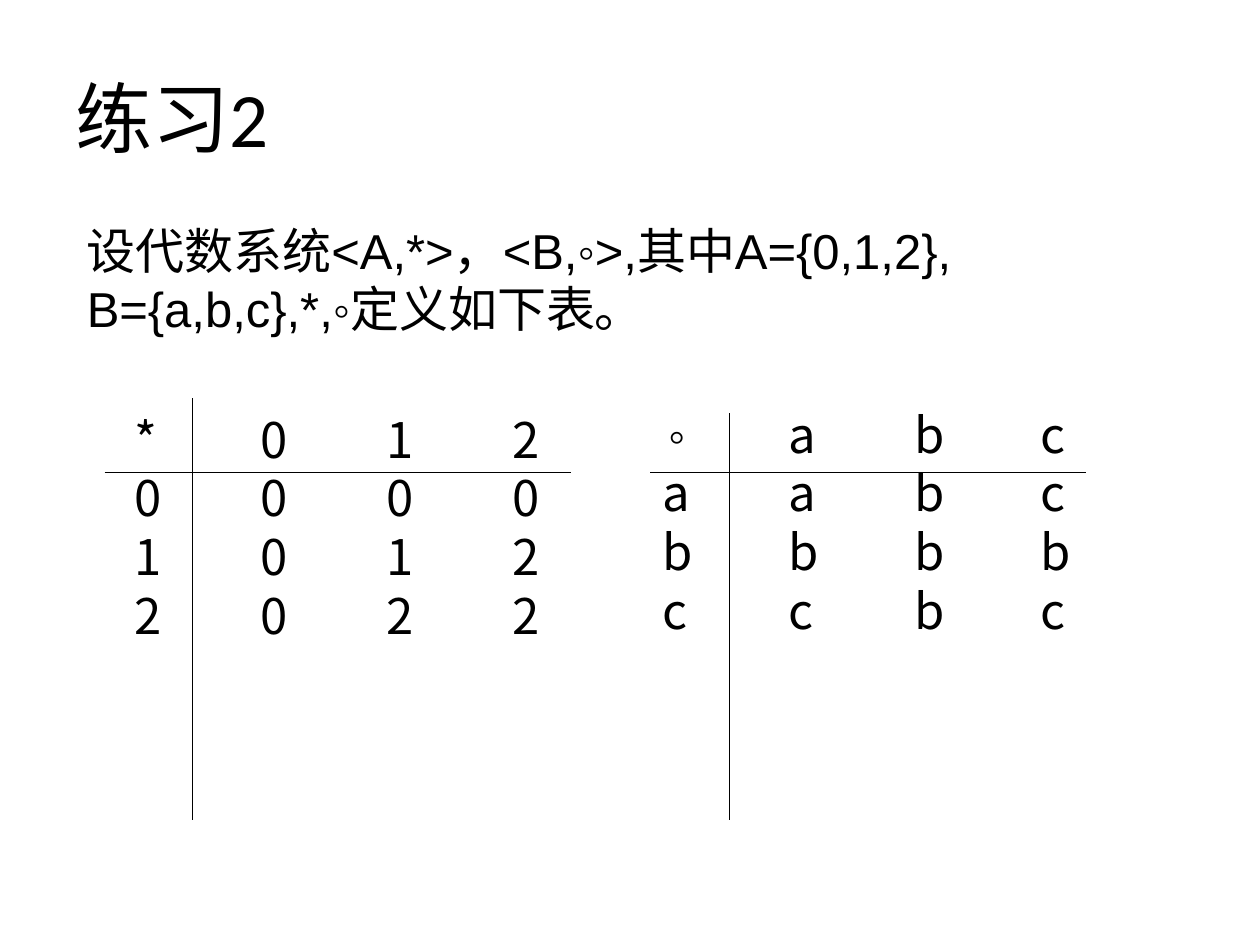
from dataclasses import dataclass

from lxml import etree
from pptx import Presentation
from pptx.dml.color import RGBColor
from pptx.enum import shapes, text
from pptx.oxml.ns import qn
from pptx.util import Pt


@dataclass(frozen=True)
class Theme:
    ink: RGBColor = RGBColor(0, 0, 0)
    title_font: str = "Calibri"
    body_font: str = "Arial"
    table_font: str = "Noto Sans CJK SC"
    title_size: float = 44
    body_size: float = 28
    small_size: float = 14
    leading: float = 33.5
    rule: float = 0.75
    tab: float = 72


class SlideBuilder:
    def __init__(self, prs, theme):
        self.theme = theme
        self.s = prs.slides.add_slide(prs.slide_layouts[6])

    def run(self, p, words, font, size):
        r = p.add_run()
        r.text = words
        fmt = {"name": font, "size": Pt(size)}
        for key, value in fmt.items():
            setattr(r.font, key, value)
        r.font.color.rgb = self.theme.ink
        ea = etree.SubElement(r.font._element, qn("a:ea"))
        ea.set("typeface", self.theme.table_font)

    def tab_stops(self, p, count):
        tabs = etree.SubElement(p._p.get_or_add_pPr(), qn("a:tabLst"))
        for i in range(1, count + 1):
            tab = etree.SubElement(tabs, qn("a:tab"))
            tab.set("pos", str(Pt(self.theme.tab * i)))
            tab.set("algn", "l")

    def text_box(self, box, lines, tabs=0, leading=None,
                 anchor=text.MSO_ANCHOR.TOP):
        """Each line is a list of (words, font, size) runs."""
        tf = self.s.shapes.add_textbox(*map(Pt, box)).text_frame
        fmt = {"word_wrap": True, "vertical_anchor": anchor}
        for key, value in fmt.items():
            setattr(tf, key, value)
        for i, line in enumerate(lines):
            p = tf.add_paragraph() if i else tf.paragraphs[0]
            if tabs:
                self.tab_stops(p, tabs)
            if leading:
                p.line_spacing = Pt(leading)
            for part in line:
                self.run(p, *part)

    def title(self, box, words):
        t = self.theme
        self.text_box(box, [[(words, t.title_font, t.title_size)]],
                      anchor=text.MSO_ANCHOR.MIDDLE)

    def body(self, box, lines):
        t = self.theme
        self.text_box(box, [[(line, t.body_font, t.body_size)] for line in lines],
                      leading=t.leading)

    def line(self, x1, y1, x2, y2):
        sp = self.s.shapes.add_connector(
            shapes.MSO_CONNECTOR.STRAIGHT, *map(Pt, (x1, y1, x2, y2)))
        sp.line.color.rgb = self.theme.ink
        sp.line.width = Pt(self.theme.rule)
        etree.SubElement(sp._element.spPr, qn("a:effectLst"))

    def operation_table(self, box, operator, rows, across, down):
        """Tabbed operation table; across is (x1, x2, y), down is (x, y1, y2)."""
        t = self.theme
        head, *rest = rows
        lines = [operator + [("\t" + "\t".join(head), t.table_font, t.body_size)]]
        lines += [[("\t".join(row), t.table_font, t.body_size)] for row in rest]
        self.text_box(box, lines, tabs=len(head), leading=t.leading)
        x1, x2, y = across
        self.line(x1, y, x2, y)
        x, y1, y2 = down
        self.line(x, y1, x, y2)


def main():
    prs = Presentation()
    prs.slide_width, prs.slide_height = Pt(720), Pt(540)
    t = Theme()
    slide = SlideBuilder(prs, t)

    slide.title((36, 21.6, 648, 90), "练习2")
    slide.body((42.5, 122.4, 646.5, 75),
               ["设代数系统<A,*>，<B,◦>,其中A={0,1,2},", "B={a,b,c},*,◦定义如下表。"])

    rule_y, bottom = 270, 468.7
    slide.operation_table(
        (69.8, 230.4, 260.6, 135.4),
        [("*", t.table_font, t.body_size)],
        ["012", "0000", "1012", "2022"],
        across=(59.8, 326.2, rule_y), down=(110.2, 227.5, bottom))
    slide.operation_table(
        (371.5, 227.5, 294.5, 137.5),
        [(" ", t.table_font, t.small_size), ("◦", t.body_font, t.body_size)],
        ["abc", "aabc", "bbbb", "ccbc"],
        across=(371.5, 620.6, rule_y), down=(416.9, 236.2, bottom))

    prs.save("out.pptx")


if __name__ == "__main__":
    main()
